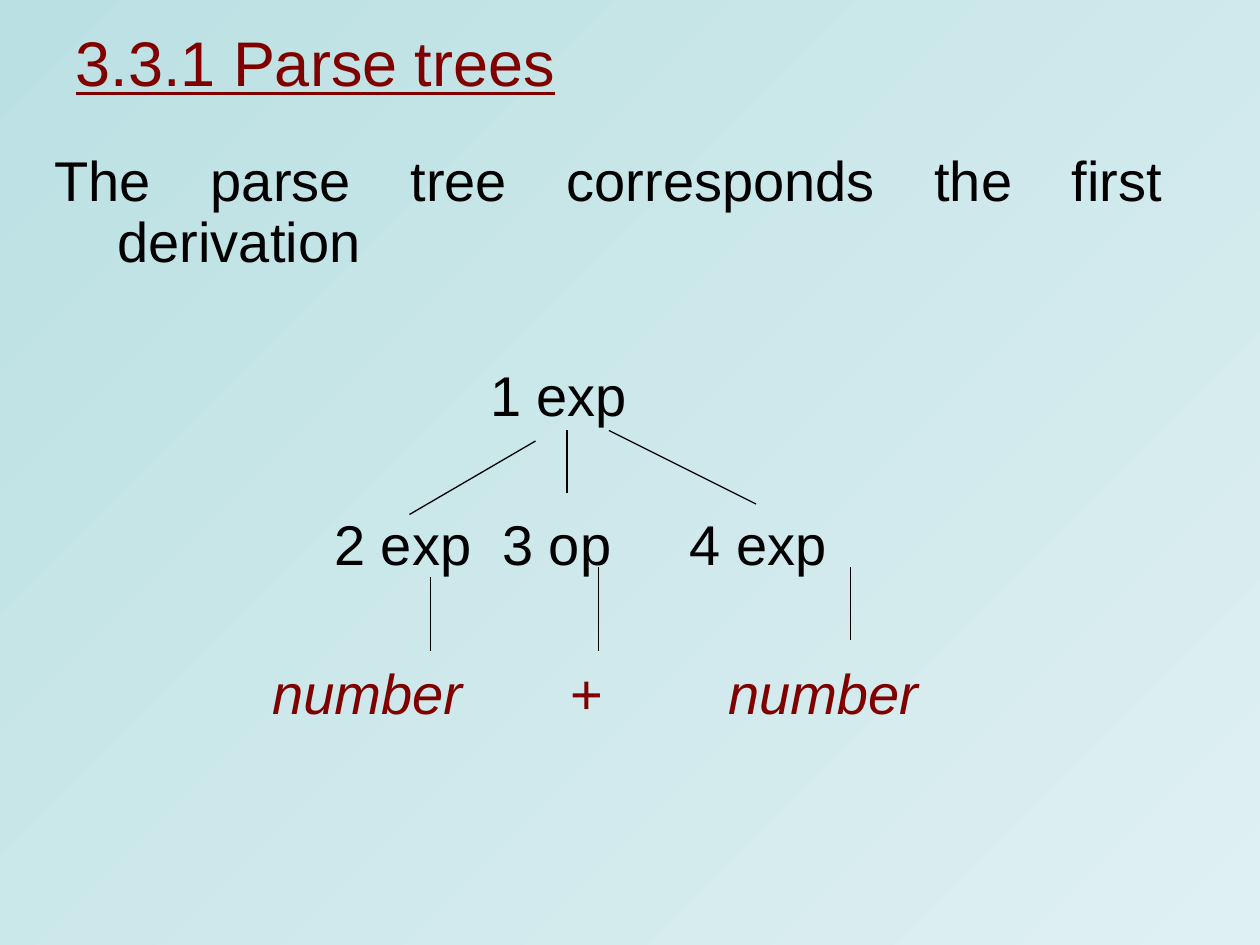
from dataclasses import dataclass

from lxml.etree import SubElement
from pptx import Presentation
from pptx.dml.color import RGBColor
from pptx.enum.shapes import MSO_CONNECTOR
from pptx.enum.text import MSO_ANCHOR, MSO_AUTO_SIZE, PP_ALIGN
from pptx.oxml.ns import qn
from pptx.util import Pt

LEFT, JUSTIFY = PP_ALIGN.LEFT, PP_ALIGN.JUSTIFY
TOP, MIDDLE = MSO_ANCHOR.TOP, MSO_ANCHOR.MIDDLE
STRAIGHT = MSO_CONNECTOR.STRAIGHT
NO_AUTOFIT = MSO_AUTO_SIZE.NONE

FONT = "Arial"
BLACK, MAROON = "000000", "800000"
GRADIENT = ("BBE0E3", "DFF0F2")
TREE_TOP, ROW_PITCH = 206, 85.1
LABEL_WIDTH, LABEL_HEIGHT = 120, 37


@dataclass
class Node:
    label: str
    left: float
    color: str = BLACK
    italic: bool = False


@dataclass
class Branch:
    x1: float
    y1: float
    x2: float
    y2: float


TREE_ROWS = [
    [Node("1 exp", 280)],
    [Node("2 exp", 191), Node("3 op", 287), Node("4 exp", 394)],
    [Node("number", 155.5, MAROON, True), Node("+", 326, MAROON),
     Node("number", 416, MAROON, True)],
]

BRANCHES = [
    Branch(324, 246, 324, 282),
    Branch(306, 252, 234, 294),
    Branch(348, 246, 432, 288),
    Branch(246, 330, 246, 372),
    Branch(342, 324, 342, 372),
    Branch(486, 324, 486, 366),
]


def rgb(color: str) -> RGBColor:
    return RGBColor.from_string(color)


def add_text(paragraph, text: str, *, size: float = 32, color: str = BLACK,
             italic: bool = False, underline: bool = False) -> None:
    run = paragraph.add_run()
    run.text = text
    font = run.font
    font.name, font.size = FONT, Pt(size)
    font.italic, font.underline = italic, underline
    font.color.rgb = rgb(color)


def place(placeholder, left: float, top: float, width: float, height: float,
          anchor):
    placeholder.left, placeholder.top = Pt(left), Pt(top)
    placeholder.width, placeholder.height = Pt(width), Pt(height)
    frame = placeholder.text_frame
    frame.word_wrap = True
    frame.auto_size = NO_AUTOFIT
    frame.vertical_anchor = anchor
    return frame.paragraphs[0]


def add_node(slide, node: Node, top: float) -> None:
    box = slide.shapes.add_textbox(Pt(node.left), Pt(top), Pt(LABEL_WIDTH),
                                   Pt(LABEL_HEIGHT))
    frame = box.text_frame
    frame.word_wrap = True
    frame.margin_left = frame.margin_right = 0
    frame.margin_top = frame.margin_bottom = 0
    add_text(frame.paragraphs[0], node.label, color=node.color,
             italic=node.italic)


def add_branch(slide, branch: Branch) -> None:
    line = slide.shapes.add_connector(
        STRAIGHT, Pt(branch.x1), Pt(branch.y1), Pt(branch.x2), Pt(branch.y2))
    line.line.color.rgb = rgb(BLACK)
    line.line.width = Pt(0.75)
    SubElement(line._element.spPr, qn("a:effectLst"))


def main() -> None:
    prs = Presentation()
    prs.slide_width, prs.slide_height = Pt(720), Pt(540)
    slide = prs.slides.add_slide(prs.slide_layouts[1])

    # Background
    background = slide.background.fill
    background.gradient()
    background.gradient_angle = 315
    for stop, color in zip(background.gradient_stops, GRADIENT):
        stop.color.rgb = rgb(color)

    # Title
    title = place(slide.shapes.title, 36, 12, 672, 46, MIDDLE)
    title.alignment = LEFT
    add_text(title, "3.3.1 Parse trees", size=36, color=MAROON, underline=True)

    # Statement with a hanging indent
    statement = place(slide.placeholders[1], 24, 84, 648, 80, TOP)
    properties = statement._p.get_or_add_pPr()
    properties.set("marL", str(Pt(36)))
    properties.set("indent", str(Pt(-36)))
    SubElement(properties, qn("a:buNone"))
    statement.alignment = JUSTIFY
    statement.line_spacing = 0.9
    statement.space_before = Pt(0)
    add_text(statement, "The parse tree corresponds the first derivation")

    # Tree labels
    for row, nodes in enumerate(TREE_ROWS):
        for node in nodes:
            add_node(slide, node, TREE_TOP + row * ROW_PITCH)

    # Tree branches
    for branch in BRANCHES:
        add_branch(slide, branch)

    prs.save("out.pptx")


if __name__ == "__main__":
    main()
